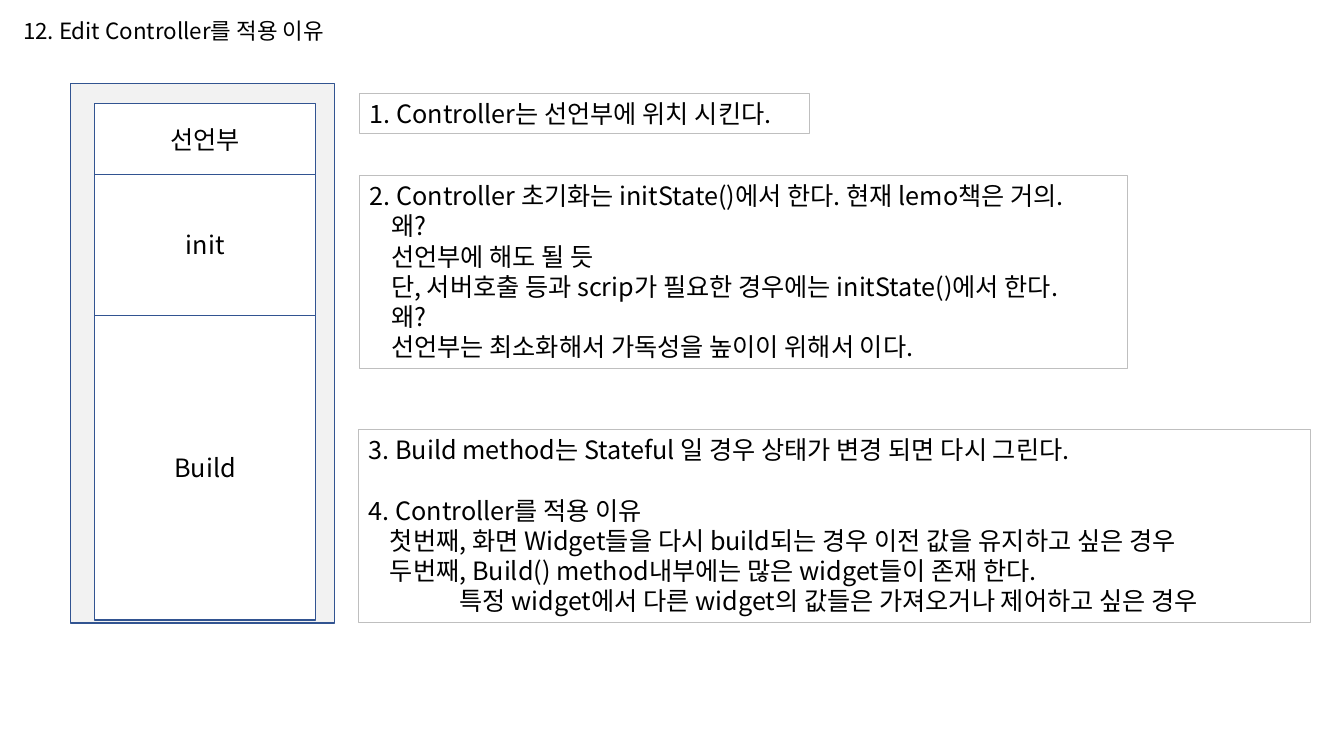
"""Build the slide on why an edit controller is used."""
from lxml import etree
from pptx import Presentation
from pptx.dml.color import RGBColor
from pptx.enum.shapes import MSO_SHAPE
from pptx.enum.text import MSO_ANCHOR, PP_ALIGN
from pptx.oxml.ns import qn
from pptx.util import Inches, Pt

RECT = MSO_SHAPE.RECTANGLE
TOP, MIDDLE = MSO_ANCHOR.TOP, MSO_ANCHOR.MIDDLE
LEFT, CENTER = PP_ALIGN.LEFT, PP_ALIGN.CENTER
FONT = "Noto Sans CJK KR"
LINE_PT = 21.6


def add_box(box, fill, line, width):
    sp = s.shapes.add_shape(RECT, *map(Inches, box))
    sp.shadow.inherit = False
    if fill:
        sp.fill.solid()
        sp.fill.fore_color.rgb = RGBColor.from_string(fill)
    else:
        sp.fill.background()
    sp.line.color.rgb = RGBColor.from_string(line)
    sp.line.width = Pt(width)
    return sp


def write(sp, lines, size=18, align=LEFT, anchor=TOP):
    tf = sp.text_frame
    tf.word_wrap = True
    tf.margin_right = Inches(0.1 if align == CENTER else 0)
    tf.vertical_anchor = anchor
    for i, (text, indent, before) in enumerate(lines):
        p = tf.paragraphs[0] if i == 0 else tf.add_paragraph()
        r = p.add_run()
        r.text = text
        p.alignment = align
        p.line_spacing = Pt(LINE_PT * size / 18)
        p.space_before = Pt(before)
        pPr = p._p.get_or_add_pPr()
        pPr.set("marL", str(Inches(indent)))
        pPr.set("indent", "0")
        for font in (p.font, r.font):
            font.size = Pt(size)
            font.name = FONT
            font.color.rgb = RGBColor.from_string("000000")
        etree.SubElement(r._r.get_or_add_rPr(), qn("a:ea")).set("typeface", FONT)


prs = Presentation()
prs.slide_width, prs.slide_height = Inches(13.33), Inches(7.5)
s = prs.slides.add_slide(prs.slide_layouts[6])

add_box((0.7, 0.83, 2.62, 5.35), "F2F2F2", "325491", 1)
title = s.shapes.add_textbox(*map(Inches, (0.13, 0.12, 3.41, 0.37)))
write(title, [("12. Edit Controller를 적용 이유", 0, 0)], size=16)

top = 1.03
for name, height in (("선언부", 0.7), ("init", 1.4), ("Build", 3.02)):
    sp = add_box((0.94, top, 2.19, height), "FFFFFF", "325491", 1)
    write(sp, [(name, 0, 0)], align=CENTER, anchor=MIDDLE)
    top += height

notes = [
    ((3.57, 0.93, 4.46, 0.4), [
        ("1. Controller는 선언부에 위치 시킨다.", 0, 0)]),
    ((3.57, 1.74, 7.61, 1.92), [
        ("2. Controller 초기화는 initState()에서 한다. 현재 lemo책은 거의.", 0, 0),
        ("왜?", 0.21, 0),
        ("선언부에 해도 될 듯", 0.21, 0),
        ("단, 서버호출 등과 scrip가 필요한 경우에는 initState()에서 한다.", 0.21, 0),
        ("왜?", 0.21, 0),
        ("선언부는 최소화해서 가독성을 높이이 위해서 이다.", 0.21, 0)]),
    ((3.56, 4.26, 9.44, 1.92), [
        ("3. Build method는 Stateful 일 경우 상태가 변경 되면 다시 그린다.", 0, 0),
        ("4. Controller를 적용 이유", 0, LINE_PT),
        ("첫번째, 화면 Widget들을 다시 build되는 경우 이전 값을 유지하고 싶은 경우", 0.21, 0),
        ("두번째, Build() method내부에는 많은 widget들이 존재 한다.", 0.21, 0),
        ("특정 widget에서 다른 widget의 값들은 가져오거나 제어하고 싶은 경우", 0.9, 0)]),
]
for box, lines in notes:
    write(add_box(box, None, "BFBFBF", 0.75), lines)

prs.save("out.pptx")
